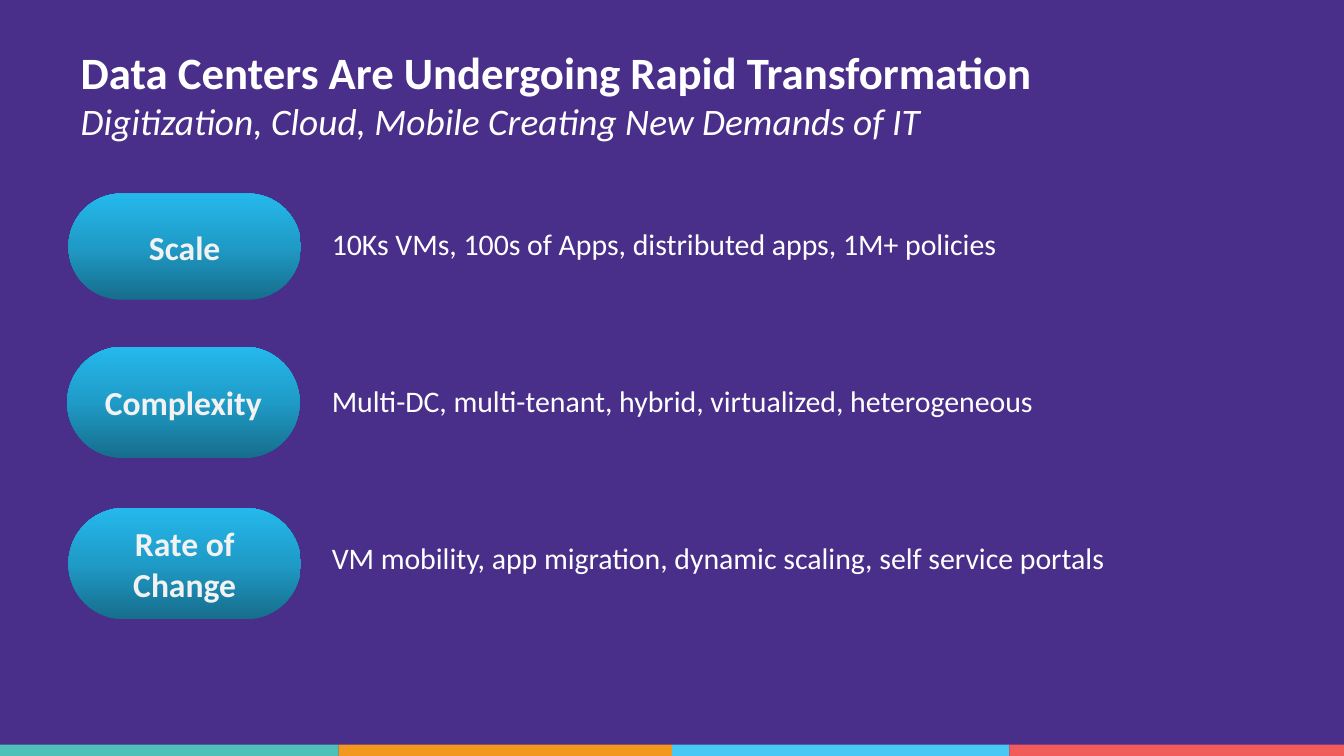
from copy import deepcopy
from itertools import pairwise

from pptx import Presentation
from pptx.dml.color import RGBColor
from pptx.enum.shapes import MSO_SHAPE
from pptx.enum.text import MSO_ANCHOR, MSO_AUTO_SIZE, PP_ALIGN
from pptx.util import Inches, Pt

TITLE = "Data Centers Are Undergoing Rapid Transformation"
SUBTITLE = "Digitization, Cloud, Mobile Creating New Demands of IT"
DEMANDS = [
    ("Scale", "10Ks VMs, 100s of Apps, distributed apps, 1M+ policies", 0.51, 1.44, 0.79),
    ("Complexity", "Multi-DC, multi-tenant, hybrid, virtualized, heterogeneous", 0.5, 2.58, 0.83),
    ("Rate of Change", "VM mobility, app migration, dynamic scaling, self service portals", 0.51, 3.78, 0.83),
]
COLORS = {
    "background": "492E8A", "white": "FFFFFF", "label": "F2F2F2",
    "teal": "4DC1B8", "orange": "F3981F", "sky": "47C8F5", "coral": "F15C5B",
    "dark": "166D8C", "middle": "1F9BC7", "light": "25B8EC",
}
STRIPE_COLORS = ["teal", "orange", "sky", "coral"]
STRIPE_EDGES = [0, 2.52, 5, 7.51, 10]
PILL_STOPS = [(0, "dark"), (0.5, "middle"), (1, "light")]
DETAIL_TOP, DETAIL_STEP = 1.63, 1.17


def color(name):
    return RGBColor.from_string(COLORS[name])


def add_span(para, text, size, color_name, bold=False, italic=False):
    span = para.add_run()
    span.text = text
    font = span.font
    font.name, font.size = "Calibri", Pt(size)
    font.bold, font.italic = bold, italic
    font.color.rgb = color(color_name)


def add_block(page, preset, left, top, width, height):
    block = page.shapes.add_shape(preset, Inches(left), Inches(top), Inches(width), Inches(height))
    block.shadow.inherit = False
    block.line.fill.background()
    return block


def fill_gradient(shape):
    fill = shape.fill
    fill.gradient()
    fill.gradient_angle = 90
    stop = shape.element.spPr.xpath("a:gradFill/a:gsLst/a:gs")[0]
    stop.addnext(deepcopy(stop))
    for gradient_stop, (position, name) in zip(fill.gradient_stops, PILL_STOPS):
        gradient_stop.position = position
        gradient_stop.color.rgb = color(name)


def add_title(page):
    title = page.shapes.title
    title.left, title.top = Inches(0.5), Inches(0.23)
    title.width, title.height = Inches(9), Inches(0.94)
    title.text_frame.vertical_anchor = MSO_ANCHOR.MIDDLE
    para = title.text_frame.paragraphs[0]
    para.alignment = PP_ALIGN.LEFT
    add_span(para, TITLE, 24, "white", bold=True)
    para.add_line_break()
    add_span(para, SUBTITLE, 20, "white", italic=True)


def add_pill(page, label, left, top, height):
    pill = add_block(page, MSO_SHAPE.ROUNDED_RECTANGLE, left, top, 1.73, height)
    pill.adjustments[0] = 0.5
    fill_gradient(pill)
    pill.text_frame.vertical_anchor = MSO_ANCHOR.MIDDLE
    para = pill.text_frame.paragraphs[0]
    para.alignment = PP_ALIGN.CENTER
    add_span(para, label, 18, "label", bold=True)


def add_detail(page, text, top):
    box = page.shapes.add_textbox(Inches(2.37), Inches(top), Inches(6.79), Inches(0.37))
    box.text_frame.word_wrap = True
    box.text_frame.auto_size = MSO_AUTO_SIZE.SHAPE_TO_FIT_TEXT
    add_span(box.text_frame.paragraphs[0], text, 16, "white")


def main():
    deck = Presentation()
    deck.slide_width = Inches(10)
    deck.slide_height = deck.slide_width * 9 // 16
    page = deck.slides.add_slide(deck.slide_layouts[5])
    page.background.fill.solid()
    page.background.fill.fore_color.rgb = color("background")

    for name, (left, right) in zip(STRIPE_COLORS, pairwise(STRIPE_EDGES)):
        stripe = add_block(page, MSO_SHAPE.RECTANGLE, left, 5.54, right - left, 0.1)
        stripe.fill.solid()
        stripe.fill.fore_color.rgb = color(name)

    add_title(page)
    for row, (label, detail, left, top, height) in enumerate(DEMANDS):
        add_pill(page, label, left, top, height)
        add_detail(page, detail, DETAIL_TOP + row * DETAIL_STEP)

    deck.save("out.pptx")


if __name__ == "__main__":
    main()
